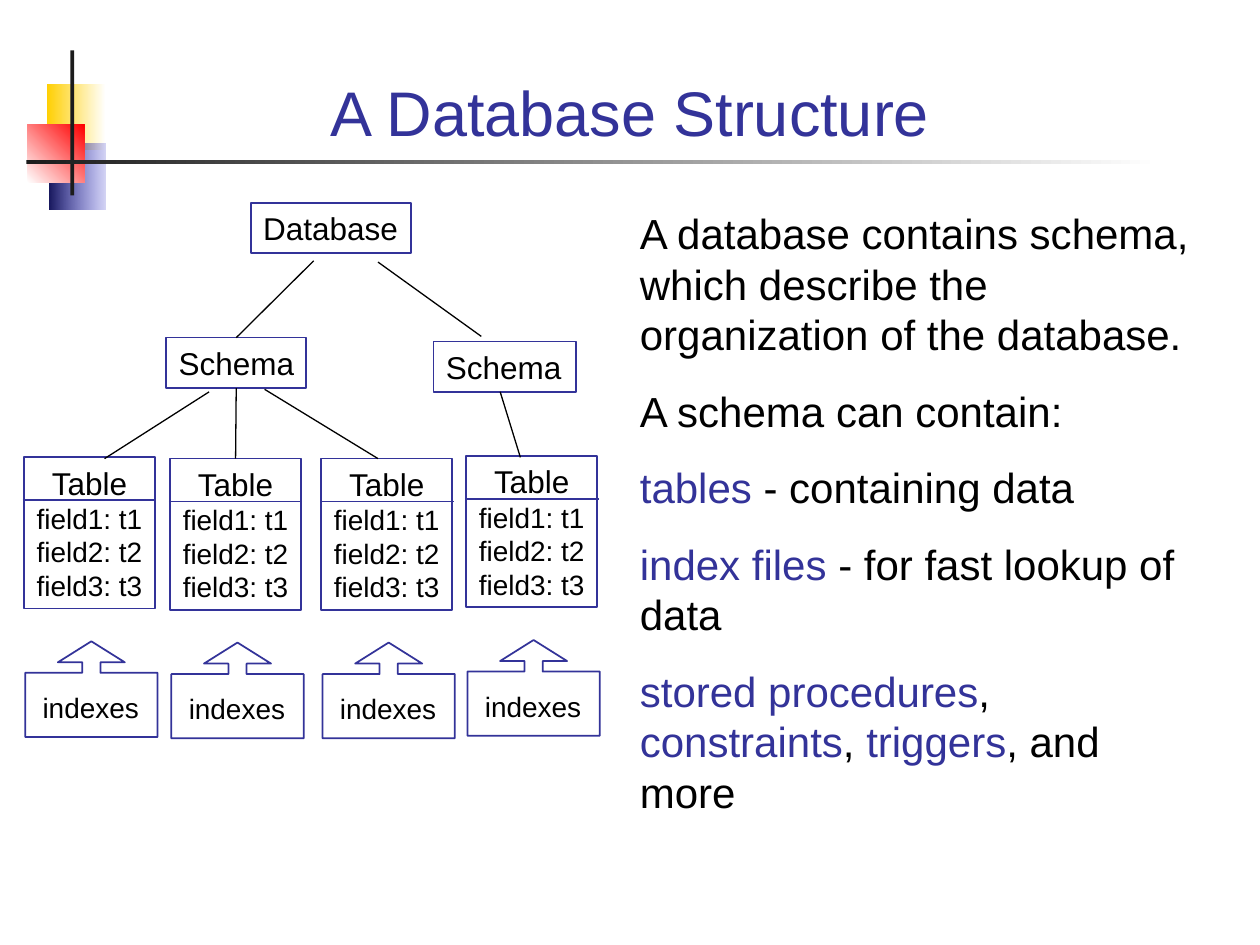
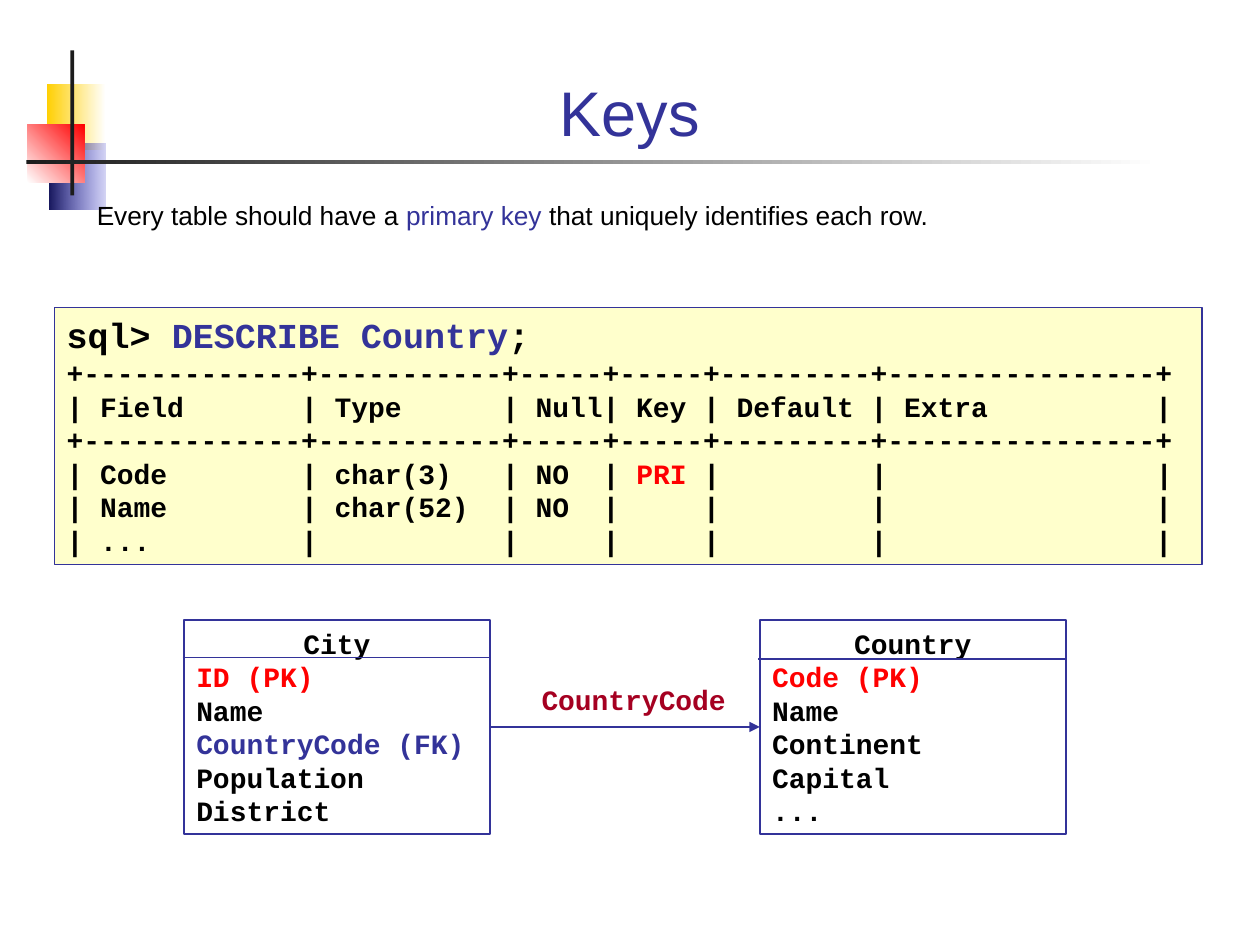
from dataclasses import dataclass

from lxml import etree
from pptx import Presentation
from pptx import util as u
from pptx.dml.color import RGBColor
from pptx.enum import shapes, text
from pptx.oxml.ns import qn

LEFT, CENTER, RIGHT = text.PP_ALIGN.LEFT, text.PP_ALIGN.CENTER, text.PP_ALIGN.RIGHT
TOP_SIDE, LEFT_SIDE, BOTTOM_SIDE, RIGHT_SIDE = range(4)


@dataclass(frozen=True)
class Theme:
    sans: str = "Arial"
    mono: str = "Courier New"
    ink: str = "000000"
    accent: str = "333399"
    key: str = "FF0000"
    relation: str = "A50021"
    listing: str = "FFFFCC"
    bar: str = "1C1C1C"
    white: str = "FFFFFF"
    yellow: str = "FFCF01"
    navy: str = "18185E"
    blue: str = "3333CC"
    title: int = 36
    body: int = 24
    command: int = 20
    node: int = 18
    small: int = 16
    note: int = 15


T = Theme()


@dataclass
class Para:
    """One paragraph; each run is a plain string or a (string, colour) pair."""
    runs: list
    size: int = T.small
    align: int = LEFT


def rgb(colour):
    return RGBColor.from_string(colour)


def write(shape, paras, font=T.sans, bold=False, wrap=True, space=0,
          anchor=text.MSO_ANCHOR.TOP):
    tf = shape.text_frame
    tf.word_wrap = wrap
    tf.auto_size = text.MSO_AUTO_SIZE.NONE
    tf.vertical_anchor = anchor
    tf.margin_left = tf.margin_right = u.Inches(0.1)
    tf.margin_top = tf.margin_bottom = u.Inches(0.05)
    for i, para in enumerate(paras):
        p = tf.add_paragraph() if i else tf.paragraphs[0]
        p.alignment = para.align
        p.space_before = u.Pt(space if i else 0)
        for run in para.runs:
            words, colour = (run, T.ink) if isinstance(run, str) else run
            r = p.add_run()
            r.text = words
            r.font.name, r.font.size, r.font.bold = font, u.Pt(para.size), bold
            r.font.color.rgb = rgb(colour)


def add_text(s, x, y, w, h, paras, **style):
    sp = s.shapes.add_textbox(*map(u.Inches, (x, y, w, h)))
    write(sp, paras, **style)


def add_box(s, x, y, w, h, fill=None, line=T.accent, width=1,
            kind=shapes.MSO_SHAPE.RECTANGLE):
    sp = s.shapes.add_shape(kind, *map(u.Inches, (x, y, w, h)))
    sp.shadow.inherit = False
    if fill:
        sp.fill.solid()
        sp.fill.fore_color.rgb = rgb(fill)
    else:
        sp.fill.background()
    if line:
        sp.line.color.rgb = rgb(line)
        sp.line.width = u.Pt(width)
    else:
        sp.line.fill.background()
    return sp


def add_gradient_box(s, x, y, w, h, start, end, angle=0, end_alpha=None):
    """Angle runs counter-clockwise; end_alpha is the end colour's opacity in percent."""
    sp = add_box(s, x, y, w, h, line=None)
    sp.fill.gradient()
    sp.fill.gradient_angle = angle
    for stop, colour in zip(sp.fill.gradient_stops, (start, end)):
        stop.color.rgb = rgb(colour)
    if end_alpha is not None:
        clr = list(sp.element.spPr.iter(qn("a:srgbClr")))[-1]
        etree.SubElement(clr, qn("a:alpha")).set("val", str(end_alpha * 1000))


def add_line(s, start, end, colour=T.ink, width=0.75, arrow=False):
    c = s.shapes.add_connector(shapes.MSO_CONNECTOR.STRAIGHT,
                               *map(u.Inches, (*start, *end)))
    c.line.color.rgb = rgb(colour)
    c.line.width = u.Pt(width)
    spPr = c.element.spPr
    if arrow:
        etree.SubElement(spPr.find(qn("a:ln")), qn("a:tailEnd")).set("type", "triangle")
    etree.SubElement(spPr, qn("a:effectLst"))
    return c


def add_titled_slide(prs, title):
    s = prs.slides.add_slide(prs.slide_layouts[5])
    add_gradient_box(s, 0.37, 0.67, 0.47, 0.52, T.yellow, T.white)
    add_gradient_box(s, 0.39, 1.14, 0.45, 0.52, T.navy, T.blue, end_alpha=20)
    add_gradient_box(s, 0.22, 0.99, 0.45, 0.46, T.white, T.key, angle=45)
    add_box(s, 0.56, 0.4, 0.03, 1.15, fill=T.bar, line=None)
    add_gradient_box(s, 0.21, 1.27, 9, 0.03, T.bar, T.white)
    sp = s.shapes.title
    sp.left, sp.top, sp.width, sp.height = map(u.Inches, (0.67, 0.28, 8.66, 0.95))
    write(sp, [Para([(title, T.accent)], T.title, CENTER)],
          anchor=text.MSO_ANCHOR.BOTTOM)
    return s


def add_node(s, x, y, w, label):
    sp = add_box(s, x, y, w, 0.4)
    write(sp, [Para([label], T.node)], wrap=False)
    return sp


def add_indexed_table(s, x, y):
    """A table box with its fields, and the index callout pointing up at it."""
    sp = add_box(s, x, y, 1.04, 1.2)
    fields = [Para([f"field{n}: t{n}"], align=CENTER) for n in (1, 2, 3)]
    write(sp, [Para(["Table"], T.node, CENTER), *fields], wrap=False)
    add_line(s, (x - 0.01, y + 0.34), (x + 1.05, y + 0.34), T.accent, 1)
    callout = add_box(s, x + 0.01, y + 1.46, 1.05, 0.76,
                      kind=shapes.MSO_SHAPE.UP_ARROW_CALLOUT)
    for i, value in enumerate((0.19, 0.35, 0.22, 0.67)):
        callout.adjustments[i] = value
    add_text(s, x + 0.02, y + 1.8, 1.02, 0.37, [Para(["indexes"], align=CENTER)])
    return sp


def add_entity(s, x, rule_y, name, fields):
    sp = add_box(s, x, 4.92, 2.43, 1.7)
    write(sp, [Para([name], align=CENTER), *(Para([f]) for f in fields)],
          font=T.mono, bold=True)
    add_line(s, (x - 0.01, rule_y), (x + 2.43, rule_y), T.accent)
    return sp


def build_structure(prs):
    s = add_titled_slide(prs, "A Database Structure")
    add_node(s, 1.99, 1.61, 1.27, "Database")
    schema = add_node(s, 1.32, 2.68, 1.11, "Schema")
    add_node(s, 3.44, 2.71, 1.13, "Schema")
    tables = [add_indexed_table(s, x, y) for x, y in
              ((0.19, 3.63), (1.35, 3.64), (2.55, 3.64), (3.7, 3.62))]

    to_schema = add_line(s, (2.49, 2.07), (1.9, 2.68))
    to_schema.end_connect(schema, TOP_SIDE)
    to_table = add_line(s, (1.89, 3.08), (1.89, 3.64))
    to_table.begin_connect(schema, BOTTOM_SIDE)
    to_table.end_connect(tables[1], TOP_SIDE)
    for start, end in (((1.66, 3.11), (0.83, 3.64)), ((2.1, 3.09), (3, 3.64)),
                       ((3, 2.08), (3.82, 2.67)), ((3.97, 3.11), (4.13, 3.63))):
        add_line(s, start, end)

    explanation = [
        ["A database contains schema, which describe the organization of the database."],
        ["A schema can contain:"],
        [("tables", T.accent), " - containing data"],
        [("index files", T.accent), " - for fast lookup of data"],
        [("stored procedures", T.accent), ", ", ("constraints", T.accent), ", ",
         ("triggers", T.accent), ", and more"],
    ]
    add_text(s, 4.98, 1.6, 4.65, 4.94, [Para(runs, T.body) for runs in explanation],
             space=15)


def build_keys(prs):
    s = add_titled_slide(prs, "Keys")
    add_text(s, 0.67, 1.53, 8.66, 0.6,
             [Para(["Every table should have a ", ("primary key", T.accent),
                    " that uniquely identifies each row."], T.note)])

    city = add_entity(s, 1.46, 5.22, "City",
                      [("ID (PK)", T.key), "Name", ("CountryCode (FK)", T.accent),
                       "Population", "District"])
    country = add_entity(s, 6.03, 5.23, "Country",
                         [("Code (PK)", T.key), "Name", "Continent", "Capital", "..."])
    relation = add_line(s, (3.89, 5.77), (6.03, 5.77), T.accent, 1.5, arrow=True)
    relation.begin_connect(city, RIGHT_SIDE)
    relation.end_connect(country, LEFT_SIDE)
    add_text(s, 4, 5.37, 1.86, 0.37,
             [Para([("CountryCode", T.relation)], align=RIGHT)],
             font=T.mono, bold=True)

    border = "+" + "+".join("-" * n for n in (13, 11, 5, 5, 9, 16)) + "+"
    rows = [
        [border],
        ["| Field       | Type      | Null| Key | Default | Extra          |"],
        [border],
        ["| Code        | char(3)   | NO  | ", ("PRI", T.key),
         " |         |                |"],
        ["| Name        | char(52)  | NO  |     |         |                |"],
        ["| ...         |           |     |     |         |                |"],
    ]
    command = Para(["sql> ", ("DESCRIBE Country", T.accent), ";"], T.command)
    listing = add_box(s, 0.43, 2.44, 9.11, 2.04, fill=T.listing, width=0.75)
    write(listing, [command, *map(Para, rows)], font=T.mono, bold=True)


def main():
    prs = Presentation()
    prs.slide_width, prs.slide_height = u.Inches(10), u.Inches(7.5)
    build_structure(prs)
    build_keys(prs)
    prs.save("out.pptx")


if __name__ == "__main__":
    main()
